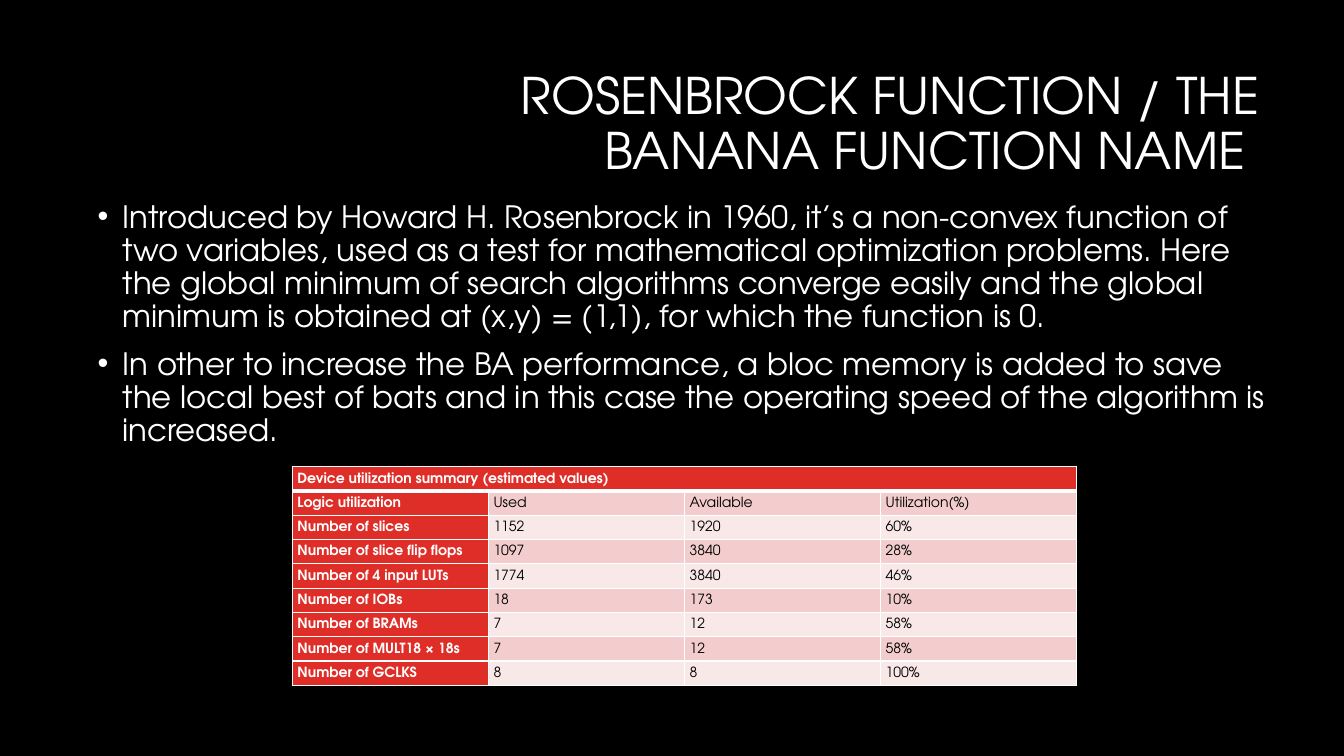
from copy import deepcopy

from lxml import etree
from pptx import Presentation
from pptx.dml.color import RGBColor
from pptx.enum.text import MSO_ANCHOR, PP_ALIGN
from pptx.oxml.ns import qn
from pptx.util import Inches, Pt

MID, TOP = MSO_ANCHOR.MIDDLE, MSO_ANCHOR.TOP
LEFT, RIGHT = PP_ALIGN.LEFT, PP_ALIGN.RIGHT
FONT = "TeX Gyre Adventor"
WHITE, BLACK, RED, PINK, PALE = "FFFFFF", "000000", "DF2E28", "F3CDCD", "F9E8E8"

TITLE = "ROSENBROCK FUNCTION / THE BANANA FUNCTION NAME \v"
POINTS = [
    "Introduced by Howard H. Rosenbrock in 1960, it’s a non-convex function of two "
    "variables, used as a test for mathematical optimization problems. Here the global "
    "minimum of search algorithms converge easily and the global minimum is obtained at "
    "(x,y) = (1,1), for which the function is 0.",
    "In other to increase the BA performance, a bloc memory is added to save the local "
    "best of bats and in this case the operating speed of the algorithm is increased.",
]
HEAD = "Device utilization summary (estimated values)"
ROWS = [
    ("Logic utilization", "Used", "Available", "Utilization(%)"),
    ("Number of slices", "1152", "1920", "60%"),
    ("Number of slice flip flops", "1097", "3840", "28%"),
    ("Number of 4 input LUTs", "1774", "3840", "46%"),
    ("Number of IOBs", "18", "173", "10%"),
    ("Number of BRAMs", "7", "12", "58%"),
    ("Number of MULT18 × 18s", "7", "12", "58%"),
    ("Number of GCLKS", "8", "8", "100%"),
]
COL, ROW = 1.945, 0.241


def color(code):
    return RGBColor.from_string(code)


def assign(item, values):
    for name, value in values.items():
        setattr(item, name, value)


def write(para, text, size, ink=WHITE, bold=False, **form):
    para.text = text
    assign(para, form)
    for run in para.runs:
        assign(run.font, {"name": FONT, "size": Pt(size), "bold": bold})
        run.font.color.rgb = color(ink)


def add_box(slide, left, top, width, height, anchor):
    box = slide.shapes.add_textbox(*map(Inches, (left, top, width, height)))
    assign(box.text_frame, {"word_wrap": True, "vertical_anchor": anchor})
    return box.text_frame


def size_break(para):
    """Give the line break and the empty line after it the size of the run."""
    style = para.runs[0].font._element
    for mark in para._p.findall(qn("a:br")):
        mark.append(deepcopy(style))
    end = deepcopy(style)
    end.tag = qn("a:endParaRPr")
    para._p.append(end)


def add_bullet(para):
    props = para._p.get_or_add_pPr()
    props.set("marL", str(Inches(0.25)))
    props.set("indent", str(-Inches(0.25)))
    etree.SubElement(props, qn("a:buFont"), typeface="Arial")
    etree.SubElement(props, qn("a:buChar"), char="•")


def add_edges(cell, base):
    """Draw white cell borders, with base as the width of the lower one."""
    props = cell._tc.get_or_add_tcPr()
    for spot, (side, width) in enumerate(zip("LRTB", (1, 1, 1, base))):
        line = etree.Element(qn("a:ln" + side), w=str(Pt(width)))
        fill = etree.SubElement(line, qn("a:solidFill"))
        etree.SubElement(fill, qn("a:srgbClr"), val=WHITE)
        props.insert(spot, line)


def fill_cell(cell, text, row, col):
    label = row == 0 or col == 0
    shade = RED if label else PINK if row % 2 else PALE
    cell.fill.solid()
    cell.fill.fore_color.rgb = color(shade)
    assign(cell, {
        "vertical_anchor": MID,
        "margin_left": Inches(0.05), "margin_right": Inches(0.05),
        "margin_top": Inches(0.03), "margin_bottom": Inches(0.03),
    })
    write(cell.text_frame.paragraphs[0], text, 10, WHITE if label else BLACK,
          label, alignment=LEFT, line_spacing=1.07)
    add_edges(cell, 1 if row else 3)


def main():
    deck = Presentation()
    assign(deck, {"slide_width": Inches(13.33), "slide_height": Inches(7.5)})
    slide = deck.slides.add_slide(deck.slide_layouts[6])
    slide.background.fill.solid()
    slide.background.fill.fore_color.rgb = color(BLACK)

    title = add_box(slide, 3.17, 0.84, 9.42, 1.41, MID).paragraphs[0]
    write(title, TITLE, 36, alignment=RIGHT, line_spacing=0.9)
    size_break(title)

    body = add_box(slide, 0.87, 1.95, 11.83, 4.4, TOP)
    for spot, text in enumerate(POINTS):
        para = body.add_paragraph() if spot else body.paragraphs[0]
        write(para, text, 22, alignment=LEFT, line_spacing=0.9, space_before=Pt(10))
        add_bullet(para)

    cells = [(HEAD, "", "", "")] + ROWS
    count, wide = len(cells), len(HEAD and cells[0])
    area = map(Inches, (2.9, 4.63, wide * COL, count * ROW))
    table = slide.shapes.add_table(count, wide, *area).table
    for row, texts in enumerate(cells):
        for col, text in enumerate(texts):
            fill_cell(table.cell(row, col), text, row, col)
    table.cell(0, 0).merge(table.cell(0, wide - 1))

    deck.save("out.pptx")


if __name__ == "__main__":
    main()
